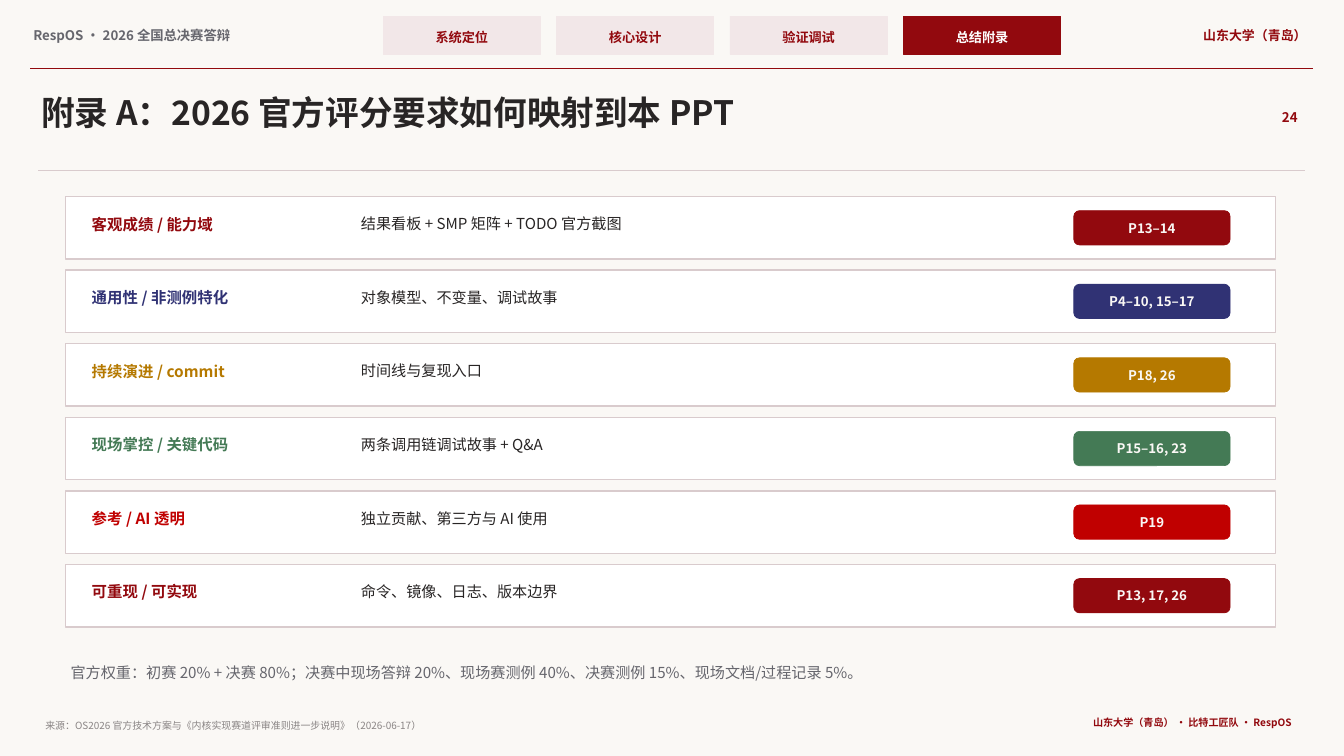
from lxml import etree
from pptx import Presentation
from pptx import util as u
from pptx.dml.color import RGBColor
from pptx.enum import shapes, text
from pptx.oxml.ns import qn

PX = 9144  # EMU per px, 100 px to the inch
FONT = "Noto Sans CJK SC"
COLORS = {
    "paper": "FAF8F5", "white": "FFFFFF", "ink": "282525", "grey": "66666D",
    "pale_grey": "8A8585", "rule": "D9CBCD", "pale_red": "F2E7E8",
    "maroon": "92090E", "navy": "303274", "amber": "B57900",
    "green": "447A55", "red": "C00000",
}
LEFT, CENTER, RIGHT = text.PP_ALIGN.LEFT, text.PP_ALIGN.CENTER, text.PP_ALIGN.RIGHT

TABS = ["系统定位", "核心设计", "验证调试", "总结附录"]
ACTIVE_TAB = "总结附录"
CRITERIA = [
    ("客观成绩 / 能力域", "结果看板 + SMP 矩阵 + TODO 官方截图", "P13–14", "maroon"),
    ("通用性 / 非测例特化", "对象模型、不变量、调试故事", "P4–10, 15–17", "navy"),
    ("持续演进 / commit", "时间线与复现入口", "P18, 26", "amber"),
    ("现场掌控 / 关键代码", "两条调用链调试故事 + Q&A", "P15–16, 23", "green"),
    ("参考 / AI 透明", "独立贡献、第三方与 AI 使用", "P19", "red"),
    ("可重现 / 可实现", "命令、镜像、日志、版本边界", "P13, 17, 26", "maroon"),
]
# wording, (left, top, width, height), size, colour, bold, alignment
HEADER = [
    ("RespOS · 2026 全国总决赛答辩", (30, 24, 335, 24), 9.5, "grey", True, LEFT),
    ("山东大学（青岛）", (1135, 24, 164, 24), 9.2, "maroon", True, RIGHT),
    ("附录 A：2026 官方评分要求如何映射到本 PPT", (38, 88, 1185, 48), 24, "ink", True, LEFT),
    ("24", (1248, 105, 42, 24), 9.5, "maroon", True, RIGHT),
]
FOOTER = [
    ("官方权重：初赛 20% + 决赛 80%；决赛中现场答辩 20%、现场赛测例 40%、"
     "决赛测例 15%、现场文档/过程记录 5%。",
     (67, 655, 1180, 35), 10.8, "grey", False, LEFT),
    ("来源：OS2026 官方技术方案与《内核实现赛道评审准则进一步说明》（2026-06-17）",
     (42, 711, 970, 17), 7.1, "pale_grey", False, LEFT),
    ("山东大学（青岛） · 比特工匠队 · RespOS",
     (972, 708, 312, 20), 7.2, "maroon", True, RIGHT),
]
# left, right, y, colour, width in points
RULES = [(30, 1302, 68, "maroon", 1.1), (38, 1294, 169, "rule", 0.9)]

TAB_LEFT, TAB_TOP, TAB_WIDTH, TAB_HEIGHT, TAB_PITCH = 380, 16, 156, 38, 172
ROW_LEFT, ROW_TOP, ROW_WIDTH, ROW_HEIGHT, ROW_PITCH = 65, 195, 1200, 62, 73


def color(name):
    return RGBColor.from_string(COLORS[name])


def px(*lengths):
    return [u.Emu(length * PX) for length in lengths]


def add_label(page, wording, place, size, ink, bold=False, align=LEFT):
    box = page.shapes.add_textbox(*px(*place))
    frame = box.text_frame
    frame.word_wrap = True
    frame.auto_size = text.MSO_AUTO_SIZE.SHAPE_TO_FIT_TEXT
    frame.margin_left = frame.margin_right = u.Inches(0.03)
    frame.margin_top = frame.margin_bottom = u.Inches(0.03)
    para = frame.paragraphs[0]
    para.alignment = align
    span = para.add_run()
    span.text = wording
    span.font.name = FONT
    span.font.size = u.Pt(size)
    span.font.bold = bold
    span.font.color.rgb = color(ink)
    latin = span.font._element.find(qn("a:latin"))
    east_asian = etree.Element(qn("a:ea"), typeface=FONT)
    latin.addnext(east_asian)


def add_panel(page, kind, place, fill, line, line_width):
    panel = page.shapes.add_shape(kind, *px(*place))
    panel.shadow.inherit = False
    panel.fill.solid()
    panel.fill.fore_color.rgb = color(fill)
    panel.line.color.rgb = color(line)
    panel.line.width = u.Pt(line_width)


def add_rule(page, left, right, y, ink, width):
    rule = page.shapes.add_connector(shapes.MSO_CONNECTOR.STRAIGHT, *px(left, y, right, y))
    rule.line.color.rgb = color(ink)
    rule.line.width = u.Pt(width)
    etree.SubElement(rule._element.spPr, qn("a:effectLst"))


def add_tab(page, index, name):
    left = TAB_LEFT + index * TAB_PITCH
    fill, ink = ("maroon", "white") if name == ACTIVE_TAB else ("pale_red", "maroon")
    add_panel(page, shapes.MSO_SHAPE.RECTANGLE,
              (left, TAB_TOP, TAB_WIDTH, TAB_HEIGHT), fill, fill, 0.5)
    add_label(page, name, (left + 6, TAB_TOP + 10, TAB_WIDTH - 12, 18), 9.4, ink, True, CENTER)


def add_criterion(page, index, name, evidence, pages, accent):
    top = ROW_TOP + index * ROW_PITCH
    add_panel(page, shapes.MSO_SHAPE.RECTANGLE,
              (ROW_LEFT, top, ROW_WIDTH, ROW_HEIGHT), "white", "rule", 1)
    add_label(page, name, (88, top + 15, 245, 26), 11, accent, True)
    add_label(page, evidence, (355, top + 15, 680, 26), 10.8, "ink")
    add_panel(page, shapes.MSO_SHAPE.ROUNDED_RECTANGLE,
              (1065, top + 14, 155, 34), accent, accent, 0.5)
    add_label(page, pages, (1071, top + 20, 143, 21), 9.5, "paper", True, CENTER)


def main():
    deck = Presentation()
    deck.slide_width, deck.slide_height = px(1333, 750)
    page = deck.slides.add_slide(deck.slide_layouts[6])
    page.background.fill.solid()
    page.background.fill.fore_color.rgb = color("paper")

    for index, name in enumerate(TABS):
        add_tab(page, index, name)
    for label in HEADER:
        add_label(page, *label)
    for rule in RULES:
        add_rule(page, *rule)
    for index, criterion in enumerate(CRITERIA):
        add_criterion(page, index, *criterion)
    for label in FOOTER:
        add_label(page, *label)

    deck.save("out.pptx")


if __name__ == "__main__":
    main()
